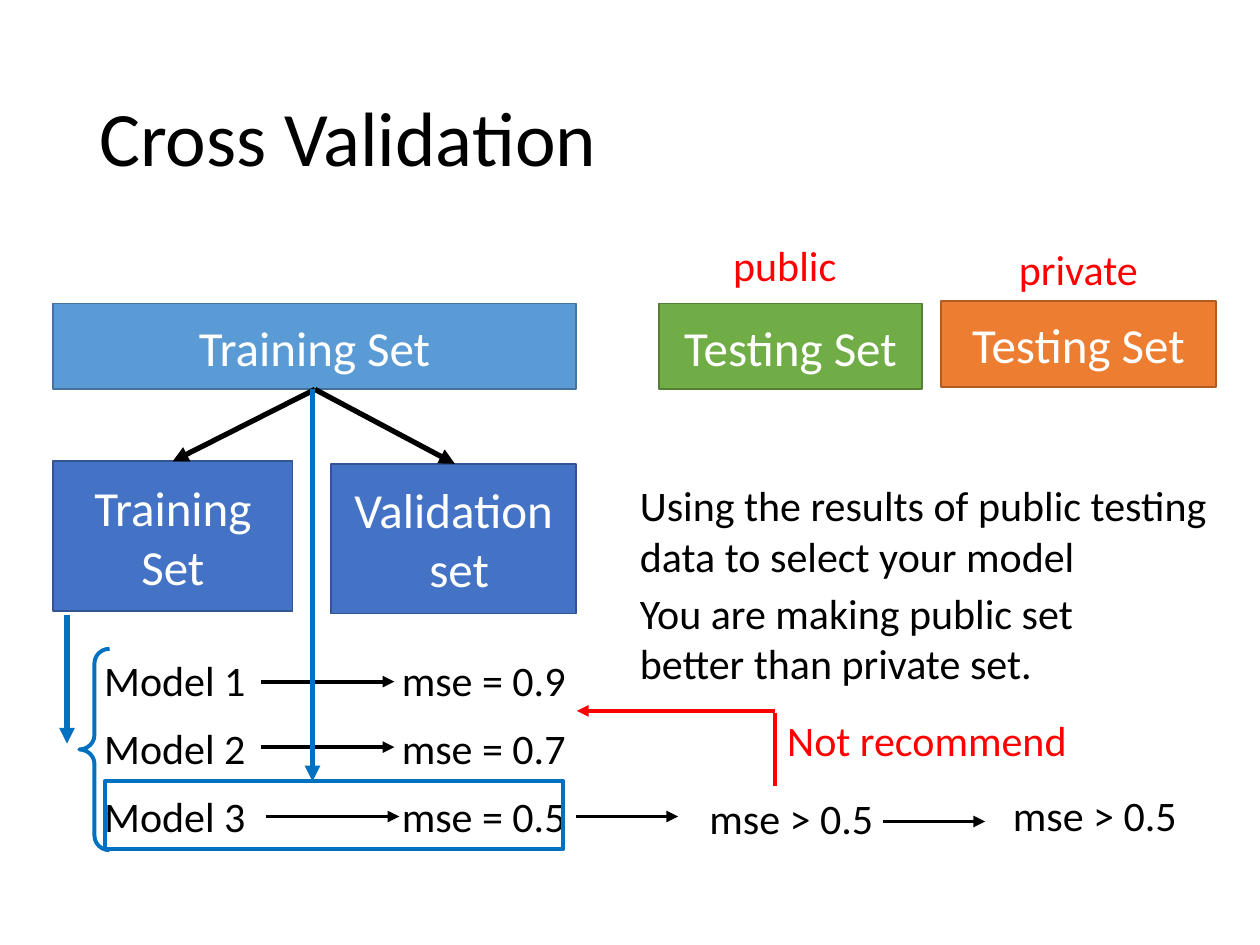
"""Build the cross validation slide."""
from lxml.etree import SubElement
from pptx import Presentation
from pptx.dml.color import RGBColor
from pptx.enum.shapes import MSO_CONNECTOR as Link, MSO_SHAPE as Kind
from pptx.enum.text import MSO_ANCHOR as Anchor, MSO_AUTO_SIZE as Fit, PP_ALIGN as Align
from pptx.oxml.ns import qn
from pptx.util import Cm, Pt

FONT = "Calibri"
BLACK = RGBColor(0x00, 0x00, 0x00)
WHITE = RGBColor(0xFF, 0xFF, 0xFF)
RED = RGBColor(0xFF, 0x00, 0x00)
BLUE = RGBColor(0x00, 0x70, 0xC0)
SKY = RGBColor(0x5B, 0x9B, 0xD5), RGBColor(0x43, 0x73, 0x9E)
GREEN = RGBColor(0x70, 0xAD, 0x47), RGBColor(0x53, 0x80, 0x35)
ORANGE = RGBColor(0xED, 0x7D, 0x31), RGBColor(0xAF, 0x5C, 0x24)
NAVY = RGBColor(0x44, 0x72, 0xC4), RGBColor(0x32, 0x54, 0x91)

TITLE = "Cross Validation", (1.75, 1.02, 21.9, 3.68)
BOXES = [
    ("Training Set", (1.07, 6.12, 10.54, 1.73), SKY),
    ("Testing Set", (13.28, 6.12, 5.31, 1.73), GREEN),
    ("Testing Set", (18.97, 6.07, 5.54, 1.73), ORANGE),
    ("Training Set", (1.07, 9.3, 4.83, 3.02), NAVY),
    ("Validation\n set", (6.68, 9.35, 4.93, 3.02), NAVY),
]
HEADS = [("public", (13.28, 4.7, 5.08, 1.27)), ("private", (19.2, 4.78, 5.08, 1.27))]
MODELS = [("Model 1", "mse = 0.9"), ("Model 2", "mse = 0.7"), ("Model 3", "mse = 0.5")]
TOP, STEP = 13.06, 1.38
NOTES = [
    ("mse > 0.5", (14.05, 15.85, 4.32, 1.27), BLACK),
    ("mse > 0.5", (20.17, 15.8, 4.34, 1.27), BLACK),
    ("Using the results of public testing data to select your model",
     (12.65, 9.55, 12.22, 2.31), BLACK),
    ("You are making public set better than private set.",
     (12.65, 11.71, 10.36, 2.31), BLACK),
    ("Not recommend", (15.62, 14.27, 6.99, 1.27), RED),
]
LINES = [
    ((6.35, 7.85, 3.48, 9.3), BLACK, 3, True),
    ((6.35, 7.85, 9.17, 9.35), BLACK, 3, True),
    ((5.26, 13.74, 7.95, 13.74), BLACK, 2.25, True),
    ((5.26, 15.06, 7.95, 15.06), BLACK, 2.25, True),
    ((5.36, 16.46, 8.05, 16.46), BLACK, 2.25, True),
    ((11.61, 16.46, 13.67, 16.46), BLACK, 2.25, True),
    ((17.81, 16.56, 19.86, 16.56), BLACK, 2.25, True),
    ((1.35, 12.4, 1.35, 14.99), BLUE, 3, True),
    ((6.3, 7.85, 6.3, 15.75), BLUE, 3, True),
    ((15.62, 15.85, 15.62, 14.38), RED, 2.25, False),
    ((15.62, 14.33, 11.63, 14.33), RED, 2.25, True),
]
BRACE = 1.6, 13.08, 0.61, 4.06
FRAME = 2.11, 15.75, 9.25, 1.37


def write(shape, text, size, color, align, anchor):
    frame = shape.text_frame
    frame.word_wrap = True
    frame.vertical_anchor = anchor
    frame.text = text
    for para in frame.paragraphs:
        para.alignment = align
        for run in para.runs:
            run.font.name, run.font.size = FONT, Pt(size)
            run.font.color.rgb = color
    return frame


def add_text(slide, text, place, color=BLACK, align=Align.LEFT):
    box = slide.shapes.add_textbox(*map(Cm, place))
    write(box, text, 24, color, align, Anchor.TOP).auto_size = Fit.SHAPE_TO_FIT_TEXT


def add_title(slide, text, place):
    box = slide.shapes.add_textbox(*map(Cm, place))
    frame = write(box, text, 44, BLACK, Align.LEFT, Anchor.MIDDLE)
    frame.paragraphs[0].line_spacing = 0.9


def add_form(slide, kind, place, line, width, fill=None):
    shape = slide.shapes.add_shape(kind, *map(Cm, place))
    shape.shadow.inherit = False
    shape.line.color.rgb, shape.line.width = line, Pt(width)
    if fill is None:
        shape.fill.background()
    else:
        shape.fill.solid()
        shape.fill.fore_color.rgb = fill
    return shape


def add_line(slide, ends, color, width, arrow):
    link = slide.shapes.add_connector(Link.STRAIGHT, *map(Cm, ends))
    link.line.color.rgb, link.line.width = color, Pt(width)
    if arrow:
        SubElement(link.line._get_or_add_ln(), qn("a:tailEnd"), type="triangle")
    SubElement(link._element.spPr, qn("a:effectLst"))


def main():
    deck = Presentation()
    deck.slide_width, deck.slide_height = Cm(25.4), Cm(19.05)
    slide = deck.slides.add_slide(deck.slide_layouts[6])
    add_title(slide, *TITLE)
    for text, place, (fill, edge) in BOXES:
        box = add_form(slide, Kind.RECTANGLE, place, edge, 1, fill)
        write(box, text, 28, WHITE, Align.CENTER, Anchor.MIDDLE)
    for text, place in HEADS:
        add_text(slide, text, place, RED, Align.CENTER)
    for row, (model, score) in enumerate(MODELS):
        top = TOP + row * STEP
        add_text(slide, model, (1.85, top, 3.51, 1.27))
        add_text(slide, score, (7.85, top, 4.32, 1.27))
    brace = add_form(slide, Kind.LEFT_BRACE, BRACE, BLUE, 2.25)
    brace.adjustments[0] = 0.48
    add_form(slide, Kind.RECTANGLE, FRAME, BLUE, 2.25)
    for line in LINES:
        add_line(slide, *line)
    for note in NOTES:
        add_text(slide, *note)
    deck.save("out.pptx")


if __name__ == "__main__":
    main()
